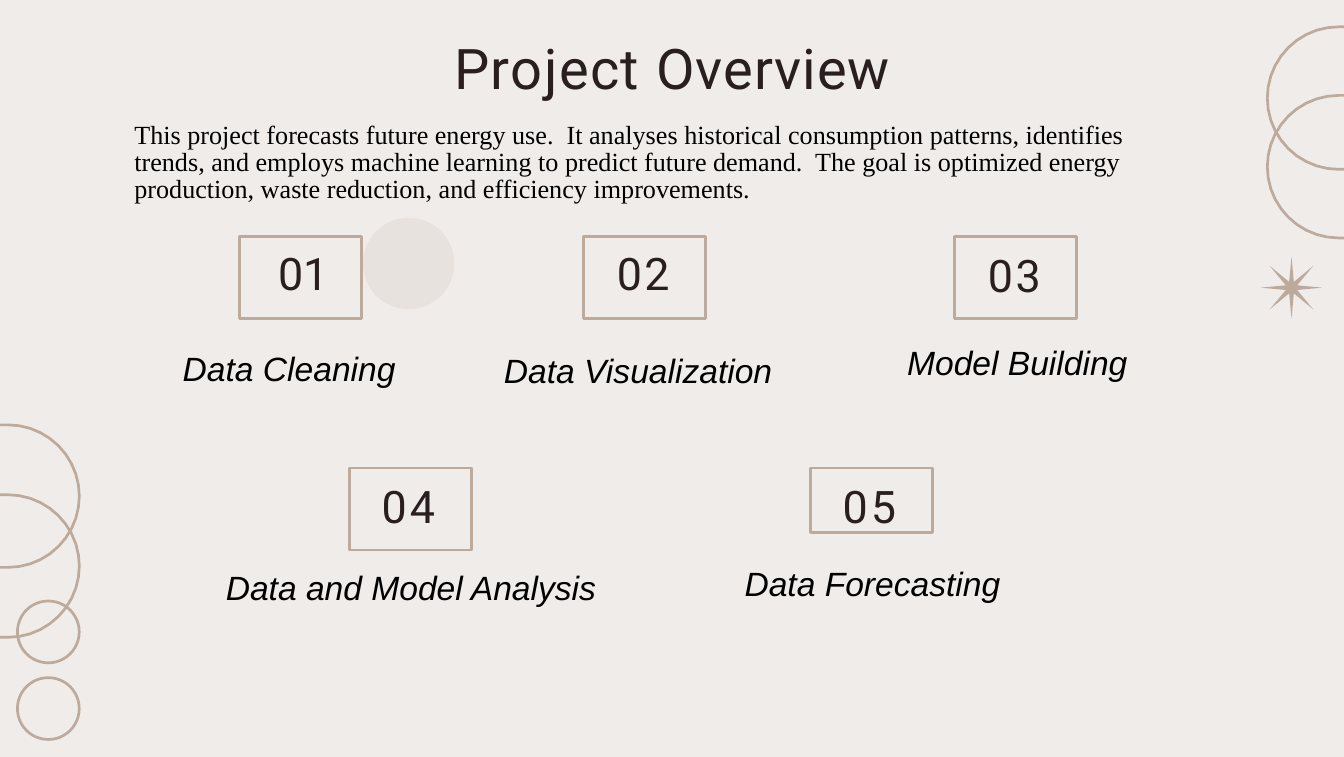
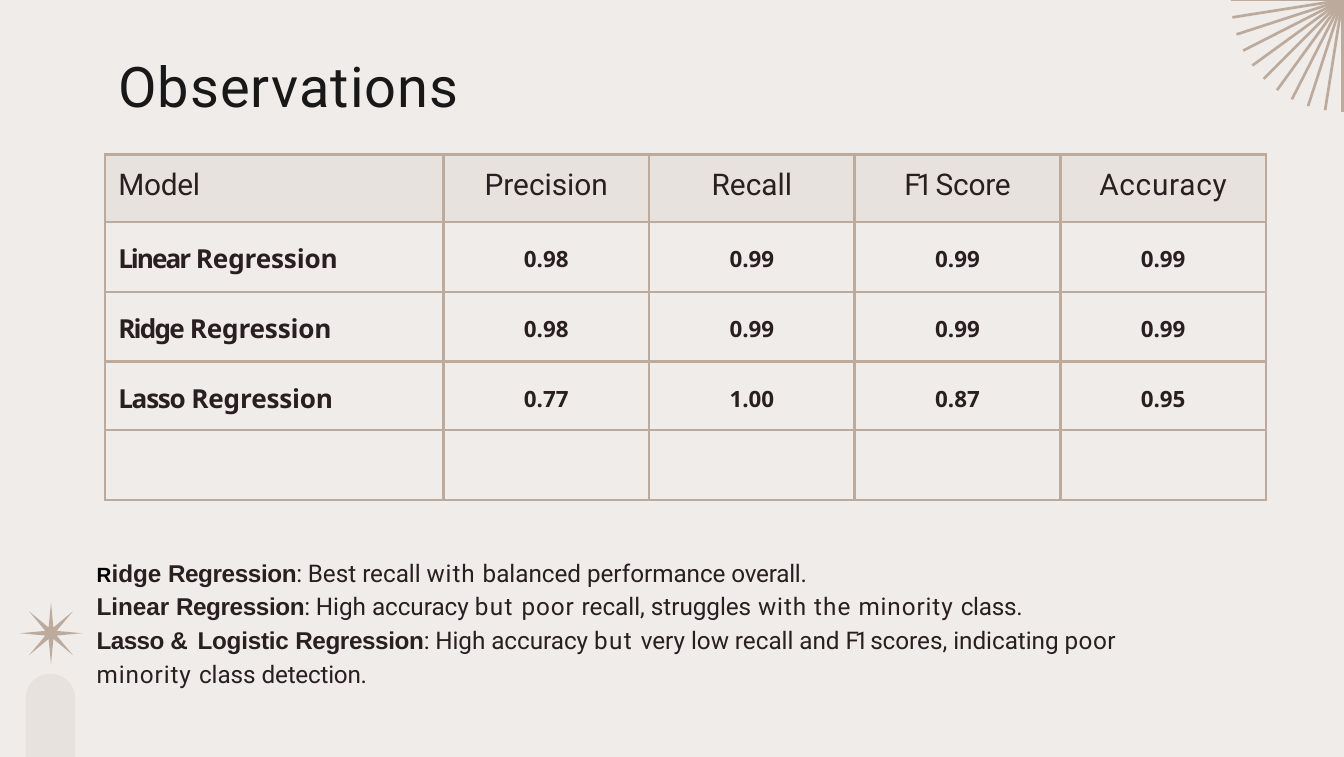
from math import cos, radians, sin

from lxml import etree
from pptx import Presentation
from pptx.dml.color import RGBColor
from pptx.enum.shapes import MSO_SHAPE
from pptx.enum.text import MSO_ANCHOR, PP_ALIGN
from pptx.oxml.ns import qn
from pptx.util import Pt

PX = 9144  # EMU per px, 100 px to the inch
WIDTH, HEIGHT = 1000, 563
TITLE_ONLY = 5

PAPER = RGBColor(0xF0, 0xEC, 0xEA)
SAND = RGBColor(0xE8, 0xE2, 0xDF)
TAN = RGBColor(0xBC, 0xAB, 0x9D)
INK = RGBColor(0x29, 0x1F, 0x20)
CHARCOAL = RGBColor(0x18, 0x18, 0x18)
BLACK = RGBColor(0, 0, 0)

ROBOTO, ARIAL, NOTO, TIMES = "Roboto", "Arial", "Noto Sans", "Times New Roman"
RECT, OVAL = MSO_SHAPE.RECTANGLE, MSO_SHAPE.OVAL
STAR, ARCH = MSO_SHAPE.STAR_8_POINT, MSO_SHAPE.ROUND_2_SAME_RECTANGLE
LEFT, CENTER = PP_ALIGN.LEFT, PP_ALIGN.CENTER
TOP = MSO_ANCHOR.TOP


def add_text(tf, text, size, font=ROBOTO, color=INK, bold=False, italic=False,
             spc=0, align=LEFT, inset=None):
    """Append a run to the last paragraph; inset is (left, top) in px."""
    if inset:
        tf.word_wrap = True
        tf.vertical_anchor = TOP
        tf.margin_left, tf.margin_top = inset[0] * PX, inset[1] * PX
        tf.margin_right = tf.margin_bottom = 0
    p = tf.paragraphs[-1]
    p.alignment = align
    r = p.add_run()
    r.text = text
    r.font.size, r.font.name = Pt(size), font
    r.font.bold, r.font.italic = bold, italic
    r.font.color.rgb = color
    if spc:
        r.font._element.set("spc", str(round(spc * 100)))


def paint(sp, fill=None, line=None):
    sp.shadow.inherit = False
    if fill is None:
        sp.fill.background()
    else:
        sp.fill.solid()
        sp.fill.fore_color.rgb = fill
    if line is None:
        sp.line.fill.background()
    else:
        sp.line.color.rgb = line
        sp.line.width = Pt(1.44)


prs = Presentation()
prs.slide_width, prs.slide_height = WIDTH * PX, HEIGHT * PX
background = prs.slide_master.background.fill
background.solid()
background.fore_color.rgb = PAPER
overview, observations = [
    prs.slides.add_slide(prs.slide_layouts[TITLE_ONLY]) for _ in range(2)]

# Titles
for slide, box, inset, color, runs in (
    (overview, (337, 24, 333, 53), (1, 1), INK,
     (("Project ", 0.8), ("Overview", 0.5))),
    (observations, (62, 29, 843, 77), (26, 9), CHARCOAL,
     (("Observations", 0.6),)),
):
    title = slide.shapes.title
    title.left, title.top, title.width, title.height = [v * PX for v in box]
    for text, spc in runs:
        add_text(title.text_frame, text, 30, color=color, spc=spc, inset=inset)

# Line ornaments: half rings cut by the slide edge, and a fan of rays
RING = 53
half_rings = []
for edge, cx, side, centers in ((WIDTH, 996, -1, (73, 124)), (0, 6, 1, (369, 421))):
    half_rings.append([
        [(edge, cy - RING)]
        + [(cx + side * RING * sin(radians(a)), cy - RING * cos(radians(a)))
           for a in range(0, 181, 9)]
        + [(edge, cy + RING)]
        for cy in centers])
rays = [[(999 - 83 * cos(radians(a)), 83 * sin(radians(a))), (999, 0)]
        for a in range(0, 91, 9)]
for slide, contours in ((overview, half_rings[0]), (overview, half_rings[1]),
                        (observations, rays)):
    builder = None
    for contour in contours:
        start, *rest = [(x * PX, y * PX) for x, y in contour]
        if builder is None:
            builder = slide.shapes.build_freeform(*start)
        else:
            builder.move_to(*start)
        builder.add_line_segments(rest, close=False)
    paint(builder.convert_to_shape(), line=TAN)

# Preset ornaments
for slide, kind, box, fill, line, adj in (
    (overview, STAR, (938, 191, 46, 46), TAN, None, 0.1),
    (overview, OVAL, (13, 447, 46, 46), None, TAN, None),
    (overview, OVAL, (13, 504, 46, 46), None, TAN, None),
    (overview, OVAL, (270, 162, 68, 68), SAND, None, None),
    (observations, STAR, (15, 448, 46, 46), TAN, None, 0.1),
    (observations, ARCH, (19, 501, 37, 62), SAND, None, 0.5),
):
    sp = slide.shapes.add_shape(kind, *[v * PX for v in box])
    paint(sp, fill, line)
    if adj:
        sp.adjustments[0] = adj

# Overview: introduction
tf = overview.shapes.add_textbox(100 * PX, 90 * PX, 784 * PX, 101 * PX).text_frame
add_text(tf, "This project forecasts future energy use.  It analyses historical "
         "consumption patterns, identifies trends, and employs machine learning to "
         "predict future demand.  The goal is optimized energy production, waste "
         "reduction, and efficiency improvements.",
         14, font=TIMES, color=BLACK, inset=(0, 2))
tf.paragraphs[0].line_spacing = Pt(14.2)

# Overview: numbered steps (box x, y, height, inset, spacing; caption and its box)
steps = (
    (178, 176, 61, (29, 7), -0.2, "Data Cleaning", (135, 258, 193)),
    (434, 176, 61, (25, 7), 1.3, "Data Visualization", (374, 259, 203)),
    (710, 176, 61, (25, 8), 1.4, "Model Building", (674, 253, 167)),
    (260, 348, 61, (24, 8), 1.6, "Data and Model Analysis", (167, 421, 289)),
    (603, 348, 48, (24, 8), 1.6, "Data Forecasting", (553, 418, 289)),
)
for n, (x, y, h, inset, spc, caption, (cx, cy, cw)) in enumerate(steps, 1):
    sp = overview.shapes.add_shape(RECT, x * PX, y * PX, 91 * PX, h * PX)
    paint(sp, line=TAN)
    add_text(sp.text_frame, f"{n:02}", 24, spc=spc, inset=inset)
    tf = overview.shapes.add_textbox(cx * PX, cy * PX, cw * PX, 33 * PX).text_frame
    add_text(tf, caption, 18, font=ARIAL, color=BLACK, italic=True, inset=(1, 1))

# Observations: score table
header = ("Model", "Precision", "Recall", "F1 Score", "Accuracy")
scores = (
    ("Linear Regression", "0.98", "0.99", "0.99", "0.99"),
    ("Ridge Regression", "0.98", "0.99", "0.99", "0.99"),
    ("Lasso Regression", "0.77", "1.00", "0.87", "0.95"),
    ("",) * 5,
)
first_word_spc = {"Linear": -1.1, "Ridge": -1, "Lasso": -0.7, "F1": -2.5}
word_spc = {"Model": -0.1, "Accuracy": 0.4}
table = observations.shapes.add_table(
    5, 5, 78 * PX, 115 * PX, 864 * PX, 257 * PX).table
table.first_row = table.horz_banding = False
for col, w in zip(table.columns, (252, 153, 153, 153, 153)):
    col.width = w * PX
for row, h in zip(table.rows, (50, 52, 52, 51, 52)):
    row.height = h * PX
for i, values in enumerate((header, *scores)):
    for j, value in enumerate(values):
        cell = table.cell(i, j)
        top = 10 if i == 0 else 14 if j == 0 else 16
        cell.margin_left, cell.margin_top = (0 if j else 10) * PX, top * PX
        cell.margin_right = cell.margin_bottom = 0
        cell.vertical_anchor = TOP
        tcPr = cell._tc.get_or_add_tcPr()
        for side in ("a:lnL", "a:lnR", "a:lnT", "a:lnB"):
            ln = etree.SubElement(tcPr, qn(side), w=str(Pt(1.5)))
            solid = etree.SubElement(ln, qn("a:solidFill"))
            etree.SubElement(solid, qn("a:srgbClr"), val=str(TAN))
        if i == 0:
            cell.fill.solid()
            cell.fill.fore_color.rgb = SAND
        else:
            cell.fill.background()
        if not value:
            continue
        fmt = {"size": 16 if i == 0 else 12 if j else 14,
               "font": NOTO if i else ROBOTO, "bold": i > 0,
               "align": CENTER if j else LEFT}
        first, gap, last = value.partition(" ")
        if gap:
            add_text(cell.text_frame, first + gap, spc=first_word_spc[first], **fmt)
            add_text(cell.text_frame, last, spc=-0.1, **fmt)
        else:
            add_text(cell.text_frame, value, spc=word_spc.get(value, 0), **fmt)

# Observations: notes, as bold and plain runs with their letter spacing
notes = (
    ((("idge ", 0), ("Regression", -0.2)),
     ((": ", -0.2), ("Best recall ", 0), ("with ", 0.5),
      ("balanced performance ", 0), ("overall.", -0.1))),
    ((("Linear ", 0), ("Regression", -0.2)),
     ((": ", -0.2), ("High accuracy ", 0), ("but ", 0.8), ("poor ", 0.5),
      ("recall, struggles", 0), (" with ", 0.5), ("the", 0.6),
      (" minority ", 0.5), ("class.", -0.1))),
    ((("Lasso ", -0.3), ("& ", 0.8), ("Logistic ", -0.1), ("Regression", -0.2)),
     ((": ", -0.2), ("High accuracy ", 0), ("but ", 0.8),
      ("very low recall and ", 0), ("F1 ", -2.2), ("scores, indicating ", 0),
      ("poor", 0.3))),
    ((), (("minority ", 0.5), ("class ", 0), ("detection.", -0.1))),
)
tf = observations.shapes.add_textbox(71 * PX, 410 * PX, 788 * PX, 102 * PX).text_frame
add_text(tf, "R", 11, font=ARIAL, color=BLACK, bold=True, inset=(1, 5))
for i, (bold_runs, plain_runs) in enumerate(notes):
    if i:
        tf.add_paragraph().space_before = Pt(2.4)
    for text, spc in bold_runs:
        add_text(tf, text, 13, font=ARIAL, bold=True, spc=spc)
    for text, spc in plain_runs:
        add_text(tf, text, 13, spc=spc)

prs.save("out.pptx")
